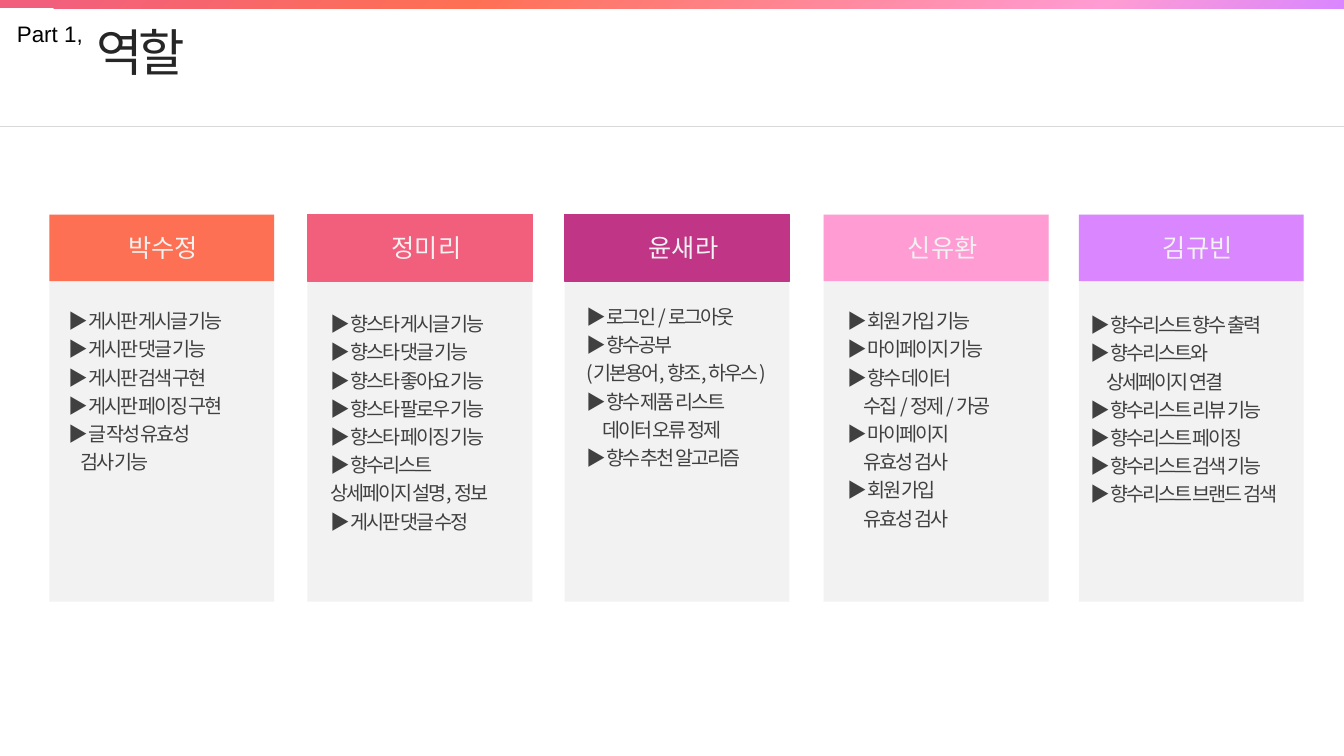
import pptx
import pptx.dml.color
import pptx.enum.shapes
import pptx.enum.text
import pptx.oxml
import pptx.oxml.ns
import pptx.util
from pptx.util import Inches

RGBColor = pptx.dml.color.RGBColor
Align = pptx.enum.text.PP_ALIGN

CORAL = RGBColor(0xF2, 0x5F, 0x7D)
ORANGE = RGBColor(0xFE, 0x70, 0x54)
MAGENTA = RGBColor(0xC0, 0x35, 0x86)
PINK = RGBColor(0xFF, 0x9C, 0xD3)
VIOLET = RGBColor(0xDA, 0x87, 0xFF)
PANEL = RGBColor(0xF2, 0xF2, 0xF2)
RULE = RGBColor(0xD9, 0xD9, 0xD9)
TITLE = RGBColor(0x26, 0x26, 0x26)
BODY = RGBColor(0x40, 0x40, 0x40)
BLACK = RGBColor(0, 0, 0)

LATIN = "Arial"
KOREAN = "Noto Sans CJK KR"
CARD_TOP, CARD_WIDTH, CARD_HEIGHT, HEADER_HEIGHT = 2.13, 2.23, 3.84, 0.66

# Name, colour, header outlined, card left, list (left, top, width, height),
# indent of continued lines, lines (a leading "+" marks a continued line)
MEMBERS = [
    ("박수정", ORANGE, False, 0.49, (0.58, 2.97, 2.03, 1.8), 0.12,
     ["▶ 게시판 게시글 기능", "▶ 게시판 댓글 기능", "▶ 게시판 검색 구현",
      "▶ 게시판 페이징 구현", "▶ 글 작성 유효성", "+검사 기능"]),
    ("정미리", CORAL, True, 3.05, (3.18, 3, 1.94, 2.36), 0,
     ["▶ 향스타 게시글 기능", "▶ 향스타 댓글 기능", "▶ 향스타 좋아요 기능",
      "▶ 향스타 팔로우 기능", "▶ 향스타 페이징 기능", "▶ 향수리스트",
      "+상세페이지 설명, 정보", "▶ 게시판 댓글 수정"]),
    ("윤새라", MAGENTA, True, 5.6, (5.72, 2.93, 2.05, 1.8), 0.16,
     ["▶ 로그인 / 로그아웃", "▶ 향수공부", "(기본용어, 향조, 하우스)",
      "▶ 향수 제품 리스트", "+데이터 오류 정제", "▶ 향수 추천 알고리즘"]),
    ("신유환", PINK, False, 8.17, (8.31, 2.97, 1.94, 2.36), 0.16,
     ["▶ 회원 가입 기능", "▶ 마이페이지 기능", "▶ 향수 데이터",
      "+수집 / 정제 / 가공", "▶ 마이페이지", "+유효성 검사",
      "▶ 회원 가입", "+유효성 검사"]),
    ("김규빈", VIOLET, False, 10.7, (10.72, 3.01, 2.28, 2.08), 0.16,
     ["▶ 향수리스트 향수 출력", "▶ 향수리스트와", "+상세페이지 연결",
      "▶ 향수리스트 리뷰 기능", "▶ 향수리스트 페이징",
      "▶ 향수리스트 검색 기능", "▶ 향수리스트 브랜드 검색"]),
]


class RoleSlide:
    def __init__(self, presentation):
        self.slide = presentation.slides.add_slide(presentation.slide_layouts[6])

    def rectangle(self, left, top, width, height, color=None, outlined=False):
        shape = self.slide.shapes.add_shape(
            pptx.enum.shapes.MSO_SHAPE.RECTANGLE,
            Inches(left), Inches(top), Inches(width), Inches(height))
        shape.shadow.inherit = False
        if color is not None:
            shape.fill.solid()
            shape.fill.fore_color.rgb = color
        if outlined:
            shape.line.color.rgb = color
            shape.line.width = pptx.util.Pt(1)
        else:
            shape.line.fill.background()
        return shape

    def gradient_bar(self, width, height, stops):
        shape = self.rectangle(0, 0, width, height)
        shape.fill.gradient()
        shape.fill.gradient_angle = 315
        stop_list = shape._element.spPr.find(".//" + pptx.oxml.ns.qn("a:gsLst"))
        for stop in list(stop_list):
            stop_list.remove(stop)
        for percent, color in stops:
            stop_list.append(pptx.oxml.parse_xml(
                f'<a:gs {pptx.oxml.ns.nsdecls("a")} pos="{percent * 1000}">'
                f'<a:srgbClr val="{color}"/></a:gs>'))

    def rule(self, top, width):
        line = self.slide.shapes.add_connector(
            pptx.enum.shapes.MSO_CONNECTOR.STRAIGHT,
            0, Inches(top), Inches(width), Inches(top))
        line.line.color.rgb = RULE
        line.line.width = pptx.util.Pt(0.5)
        line._element.spPr.append(pptx.oxml.parse_xml(
            f'<a:effectLst {pptx.oxml.ns.nsdecls("a")}/>'))

    def text(self, place, lines, size, color, font=LATIN, align=Align.LEFT,
             tracking=0, wrap=False, line_spacing=None, indent=0):
        """Add a text box; tracking is letter spacing in points."""
        box = self.slide.shapes.add_textbox(*[Inches(length) for length in place])
        frame = box.text_frame
        frame.word_wrap = wrap
        frame.auto_size = pptx.enum.text.MSO_AUTO_SIZE.SHAPE_TO_FIT_TEXT
        for index, line in enumerate(lines):
            paragraph = frame.paragraphs[0] if index == 0 else frame.add_paragraph()
            paragraph.text = line.removeprefix("+")
            paragraph.alignment = align
            if line_spacing:
                paragraph.line_spacing = line_spacing
            properties = paragraph._p.get_or_add_pPr()
            if line.startswith("+"):
                properties.set("marL", str(Inches(indent)))
            paragraph.font.size = pptx.util.Pt(size)
            paragraph.font.color.rgb = color
            paragraph.font.name = font
            defaults = properties.find(pptx.oxml.ns.qn("a:defRPr"))
            defaults.find(pptx.oxml.ns.qn("a:latin")).addnext(pptx.oxml.parse_xml(
                f'<a:ea {pptx.oxml.ns.nsdecls("a")} typeface="{KOREAN}"/>'))
            if tracking:
                defaults.set("spc", str(int(tracking * 100)))

    def member(self, name, color, outlined, left, list_place, indent, lines):
        self.rectangle(left, CARD_TOP, CARD_WIDTH, CARD_HEIGHT, PANEL)
        self.rectangle(left, CARD_TOP, CARD_WIDTH, HEADER_HEIGHT, color, outlined)
        name_left = left + (0.65 if left < 1 else 0.7)
        self.text((name_left, 2.26, 0.96, 0.4), [name], 18, PANEL, align=Align.CENTER)
        self.text(list_place, lines, 14, BODY, KOREAN, Align.JUSTIFY,
                  tracking=-1.5, wrap=True, line_spacing=1.2, indent=indent)


def main():
    presentation = pptx.Presentation()
    presentation.slide_width = Inches(13.33)
    presentation.slide_height = Inches(7.5)
    page = RoleSlide(presentation)
    page.rule(1.25, 13.33)
    page.text((0.86, 0.16, 1.13, 0.71), ["역할"], 36, TITLE, KOREAN, tracking=-3)
    page.text((0.07, 0.15, 0.93, 0.37), ["Part 1,"], 16, BLACK)
    page.gradient_bar(13.33, 0.08,
                      [(3, CORAL), (35, ORANGE), (82, PINK), (100, VIOLET)])
    for member in MEMBERS:
        page.member(*member)
    presentation.save("out.pptx")


if __name__ == "__main__":
    main()
